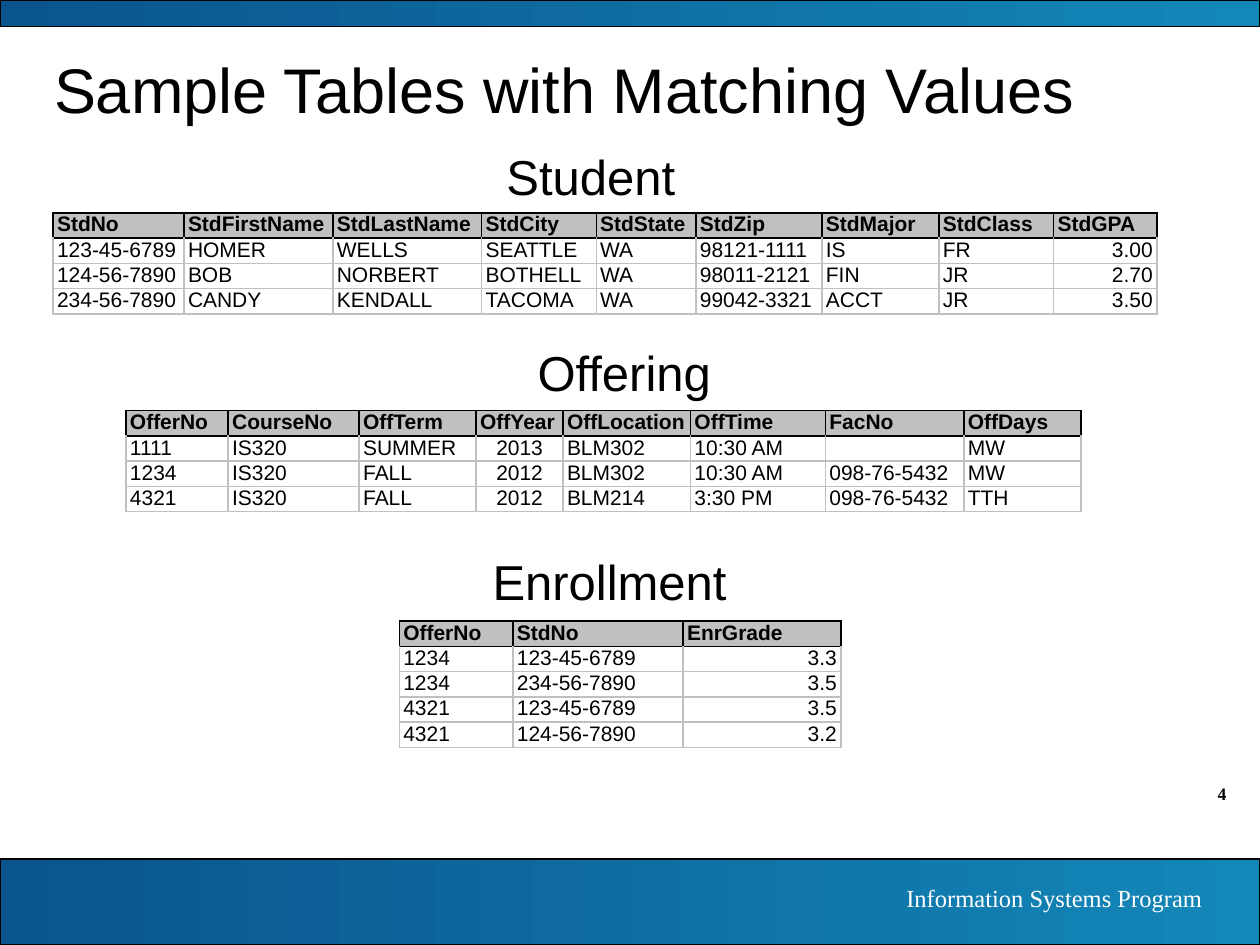
"""Build a slide with three sample tables that share matching values."""
from dataclasses import dataclass

from lxml import etree
from pptx import Presentation
from pptx.dml.color import RGBColor
from pptx.enum.shapes import MSO_SHAPE
from pptx.enum.text import MSO_ANCHOR, PP_ALIGN
from pptx.oxml.ns import qn
from pptx.slide import Slide
from pptx.table import _Cell
from pptx.text.text import _Paragraph
from pptx.util import Cm, Pt

LEFT, CENTER, RIGHT = PP_ALIGN.LEFT, PP_ALIGN.CENTER, PP_ALIGN.RIGHT
TOP, MIDDLE = MSO_ANCHOR.TOP, MSO_ANCHOR.MIDDLE
RECTANGLE = MSO_SHAPE.RECTANGLE


@dataclass(frozen=True)
class Theme:
    black: str = "000000"
    white: str = "FFFFFF"
    gray: str = "C0C0C0"
    band_start: str = "0A548C"
    band_end: str = "1387B8"
    sans: str = "Arial"
    serif: str = "Times New Roman"
    title_size: float = 36
    heading_size: float = 28
    footer_size: float = 14
    cell_size: float = 12
    number_size: float = 10
    border: float = 1
    band_line: float = 0.75
    cell_margin: float = 0.08
    row_height: float = 0.48


@dataclass(frozen=True)
class Box:
    left: float
    top: float
    width: float
    height: float

    def lengths(self) -> tuple[Cm, Cm, Cm, Cm]:
        return Cm(self.left), Cm(self.top), Cm(self.width), Cm(self.height)


@dataclass(frozen=True)
class Column:
    header: str
    width: float
    values: tuple[str, ...]
    align: PP_ALIGN = LEFT


@dataclass(frozen=True)
class Relation:
    name: str
    heading: Box
    left: float
    top: float
    columns: tuple[Column, ...]


THEME = Theme()
SLIDE_WIDTH, SLIDE_HEIGHT = 25.4, 19.05
BANDS = (Box(0, 17.32, SLIDE_WIDTH, 1.73), Box(0, 0, SLIDE_WIDTH, 0.53))

RELATIONS = (
    Relation("Enrollment", Box(9.68, 11, 5.61, 1.45), 8.05, 12.52, (
        Column("OfferNo", 2.29, ("1234", "1234", "4321", "4321")),
        Column("StdNo", 3.43, ("123-45-6789", "234-56-7890", "123-45-6789", "124-56-7890")),
        Column("EnrGrade", 3.18, ("3.3", "3.5", "3.5", "3.2"), RIGHT),
    )),
    Relation("Offering", Box(10.59, 6.78, 4.45, 1.45), 2.54, 8.28, (
        Column("OfferNo", 2.06, ("1111", "1234", "4321")),
        Column("CourseNo", 2.64, ("IS320", "IS320", "IS320")),
        Column("OffTerm", 2.36, ("SUMMER", "FALL", "FALL")),
        Column("OffYear", 1.75, ("2013", "2012", "2012"), CENTER),
        Column("OffLocation", 2.57, ("BLM302", "BLM302", "BLM214")),
        Column("OffTime", 2.72, ("10:30 AM", "10:30 AM", "3:30 PM")),
        Column("FacNo", 2.79, ("", "098-76-5432", "098-76-5432")),
        Column("OffDays", 2.36, ("MW", "MW", "TTH")),
    )),
    Relation("Student", Box(9.96, 2.82, 4.45, 1.45), 1.07, 4.29, (
        Column("StdNo", 2.64, ("123-45-6789", "124-56-7890", "234-56-7890")),
        Column("StdFirstName", 3, ("HOMER", "BOB", "CANDY")),
        Column("StdLastName", 3, ("WELLS", "NORBERT", "KENDALL")),
        Column("StdCity", 2.31, ("SEATTLE", "BOTHELL", "TACOMA")),
        Column("StdState", 2.01, ("WA", "WA", "WA")),
        Column("StdZip", 2.54, ("98121-1111", "98011-2121", "99042-3321")),
        Column("StdMajor", 2.36, ("IS", "FIN", "ACCT")),
        Column("StdClass", 2.31, ("FR", "JR", "JR")),
        Column("StdGPA", 2.08, ("3.00", "2.70", "3.50"), RIGHT),
    )),
)


def write(paragraph: _Paragraph, text: str, *, size: float, font: str = THEME.sans,
          color: str = THEME.black, bold: bool = False, align: PP_ALIGN = LEFT) -> None:
    paragraph.alignment = align
    if not text:
        etree.SubElement(paragraph._p, qn("a:endParaRPr"), sz=str(int(size * 100)))
        return
    run = paragraph.add_run()
    run.text = text
    run.font.size = Pt(size)
    run.font.name = font
    run.font.bold = bold
    run.font.color.rgb = RGBColor.from_string(color)


def add_label(slide: Slide, box: Box, text: str, anchor: MSO_ANCHOR = TOP, **style) -> None:
    frame = slide.shapes.add_textbox(*box.lengths()).text_frame
    frame.word_wrap = True
    frame.vertical_anchor = anchor
    write(frame.paragraphs[0], text, **style)


def add_band(slide: Slide, box: Box) -> None:
    band = slide.shapes.add_shape(RECTANGLE, *box.lengths())
    band.shadow.inherit = False
    band.fill.gradient()
    band.fill.gradient_angle = 0
    for stop, color in zip(band.fill.gradient_stops, (THEME.band_start, THEME.band_end)):
        stop.color.rgb = RGBColor.from_string(color)
    band.line.color.rgb = RGBColor.from_string(THEME.black)
    band.line.width = Pt(THEME.band_line)


def set_borders(cell: _Cell, color: str, top_color: str) -> None:
    properties = cell._tc.get_or_add_tcPr()
    for side in ("L", "R", "T", "B"):
        edge = etree.SubElement(properties, qn(f"a:ln{side}"), w=str(Pt(THEME.border)))
        fill = etree.SubElement(edge, qn("a:solidFill"))
        etree.SubElement(fill, qn("a:srgbClr"), val=top_color if side == "T" else color)


def fill_cell(cell: _Cell, text: str, row: int, align: PP_ALIGN) -> None:
    is_header = row == 0
    cell.margin_left = cell.margin_right = Cm(THEME.cell_margin)
    cell.margin_top = cell.margin_bottom = 0
    set_borders(cell, THEME.black if is_header else THEME.gray,
                THEME.black if row <= 1 else THEME.gray)
    cell.fill.solid()
    cell.fill.fore_color.rgb = RGBColor.from_string(THEME.gray if is_header else THEME.white)
    write(cell.text_frame.paragraphs[0], text, size=THEME.cell_size, bold=is_header,
          align=LEFT if is_header else align)


def add_relation(slide: Slide, relation: Relation) -> None:
    columns = relation.columns
    row_count = len(columns[0].values) + 1
    area = Box(relation.left, relation.top, sum(column.width for column in columns),
               row_count * THEME.row_height)
    table = slide.shapes.add_table(row_count, len(columns), *area.lengths()).table
    table.horz_banding = False
    for row in table.rows:
        row.height = Cm(THEME.row_height)
    for index, column in enumerate(columns):
        table.columns[index].width = Cm(column.width)
        for row, text in enumerate((column.header, *column.values)):
            fill_cell(table.cell(row, index), text, row, column.align)
    add_label(slide, relation.heading, relation.name, size=THEME.heading_size)


def main() -> None:
    presentation = Presentation()
    presentation.slide_width, presentation.slide_height = Cm(SLIDE_WIDTH), Cm(SLIDE_HEIGHT)
    slide = presentation.slides.add_slide(presentation.slide_layouts[6])
    add_label(slide, Box(22.86, 15.67, 2.11, 0.69), "4", size=THEME.number_size,
              font=THEME.serif, bold=True, align=RIGHT)
    for band in BANDS:
        add_band(slide, band)
    add_label(slide, Box(14.1, 17.68, 10.39, 0.86), "Information Systems Program",
              size=THEME.footer_size, font=THEME.serif, color=THEME.white, align=RIGHT)
    add_label(slide, Box(0.84, 0.84, 23.29, 1.9), "Sample Tables with Matching Values",
              MIDDLE, size=THEME.title_size)
    for relation in RELATIONS:
        add_relation(slide, relation)
    presentation.save("out.pptx")


if __name__ == "__main__":
    main()
